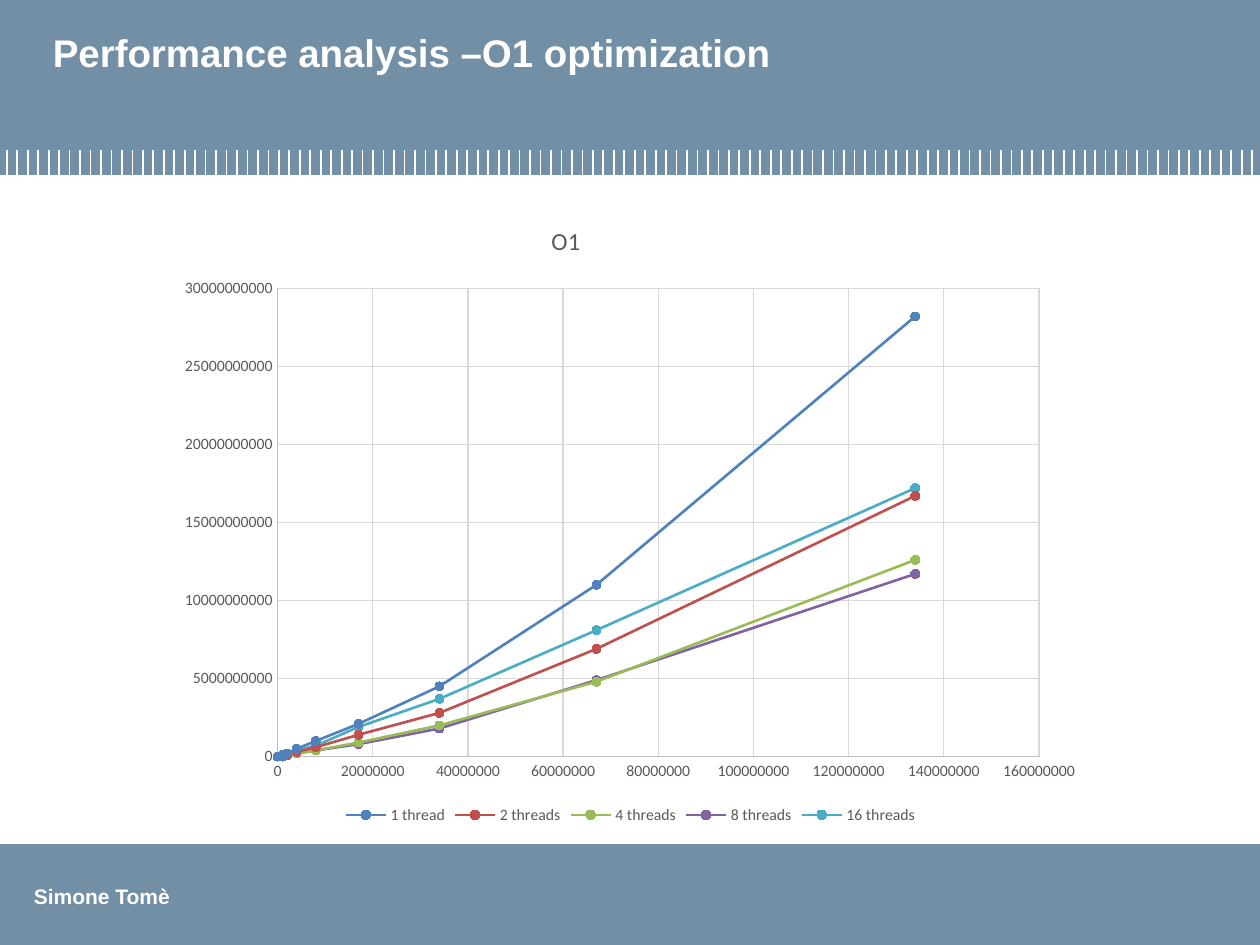
import pptx
import pptx.chart.data
import pptx.dml.color
import pptx.enum.chart
import pptx.enum.shapes
import pptx.enum.text
import pptx.oxml
import pptx.oxml.ns
import pptx.util
from pptx.util import Pt

RGB = pptx.dml.color.RGBColor
SLATE = RGB(0x72, 0x8F, 0xA5)
WHITE = RGB(0xFF, 0xFF, 0xFF)
BLACK = RGB(0, 0, 0)
GREY_TEXT = RGB(0x59, 0x59, 0x59)
AXIS_GREY = RGB(0xBF, 0xBF, 0xBF)
GRID_GREY = RGB(0xD9, 0xD9, 0xD9)
BLUE = RGB(0x4F, 0x81, 0xBD)
RED = RGB(0xC0, 0x50, 0x4D)
GREEN = RGB(0x9B, 0xBB, 0x59)
PURPLE = RGB(0x80, 0x64, 0xA2)
TEAL = RGB(0x4B, 0xAC, 0xC6)


def style_font(font, name, size, color, bold=False):
    font.name = name
    font.size = Pt(size)
    font.color.rgb = color
    font.bold = bold


def manual_layout(**settings):
    layout = pptx.oxml.parse_xml(
        f"<c:layout {pptx.oxml.ns.nsdecls('c')}><c:manualLayout/></c:layout>")
    for tag, value in settings.items():
        pptx.oxml.ns.qn("c:" + tag)
        item = pptx.oxml.parse_xml(
            f"<c:{tag} {pptx.oxml.ns.nsdecls('c')} val='{value}'/>")
        layout[0].append(item)
    return layout


deck = pptx.Presentation()
deck.slide_width = Pt(720)
deck.slide_height = Pt(540)
slide = deck.slides.add_slide(deck.slide_layouts[5])

for top, height in ((0, 100), (482.4, 57.6)):
    band = slide.shapes.add_shape(
        pptx.enum.shapes.MSO_SHAPE.RECTANGLE, 0, Pt(top), Pt(720), Pt(height))
    band.shadow.inherit = False
    band.fill.solid()
    band.fill.fore_color.rgb = SLATE
    band.line.fill.background()

author = slide.shapes.add_textbox(Pt(12.24), Pt(501.1), Pt(93), Pt(21.6))
author.text_frame.word_wrap = False
author.text_frame.text = "Simone Tomè"
style_font(author.text_frame.paragraphs[0].font, "Arial", 12, WHITE, True)

ruler = slide.shapes.add_group_shape()
for index in range(120):
    x = Pt(3.9 + 5.98 * index)
    tick = ruler.shapes.add_connector(
        pptx.enum.shapes.MSO_CONNECTOR.STRAIGHT, x, Pt(85.7), x, Pt(100))
    tick.line.color.rgb = WHITE
    tick.line.width = Pt(1)
    tick.element.spPr.append(pptx.oxml.parse_xml(
        f"<a:effectLst {pptx.oxml.ns.nsdecls('a')}/>"))

title = slide.shapes.title
title.element.getparent().append(title.element)
title.left, title.top, title.width, title.height = Pt(23), Pt(10.8), Pt(675.4), Pt(66.2)
title.text_frame.text = "Performance analysis –O1 optimization"
title.text_frame.vertical_anchor = pptx.enum.text.MSO_ANCHOR.TOP
title.text_frame.margin_top = Pt(5.5)
heading = title.text_frame.paragraphs[0]
heading.alignment = pptx.enum.text.PP_ALIGN.LEFT
style_font(heading.font, "Arial", 22, WHITE, True)

MILLION = 10 ** 6
sizes = (0, 1, 1, 2, 4, 8, 17, 34, 67, 134)
timings = (
    ("1 thread", BLUE, (0, 0, 100, 200, 500, 1000, 2100, 4500, 11000, 28200)),
    ("2 threads", RED, (0, 0, 100, 100, 300, 600, 1400, 2800, 6900, 16700)),
    ("4 threads", GREEN, (0, 0, 0, 100, 200, 400, 900, 2000, 4800, 12600)),
    ("8 threads", PURPLE, (0, 0, 0, 100, 200, 400, 800, 1800, 4900, 11700)),
    ("16 threads", TEAL, (0, 100, 100, 200, 400, 700, 1900, 3700, 8100, 17200)),
)
timing_data = pptx.chart.data.XyChartData()
for name, _, cycles in timings:
    series = timing_data.add_series(name)
    for size, cycle in zip(sizes, cycles):
        series.add_data_point(size * MILLION, cycle * MILLION)

chart = slide.shapes.add_chart(
    pptx.enum.chart.XL_CHART_TYPE.XY_SCATTER_LINES,
    Pt(95), Pt(114.5), Pt(530.6), Pt(359.3), timing_data).chart
style_font(chart.font, "Calibri", 10, BLACK)
plot = chart.plots[0]
plot.vary_by_categories = False

for series, (_, color, _) in zip(plot.series, timings):
    series.smooth = False
    series.format.line.color.rgb = color
    series.format.line.width = Pt(1.5)
    series.marker.style = pptx.enum.chart.XL_MARKER_STYLE.CIRCLE
    series.marker.size = 5
    series.marker.format.fill.solid()
    series.marker.format.fill.fore_color.rgb = color
    series.marker.format.line.color.rgb = color

for axis, maximum, step in ((chart.category_axis, 160, 20),
                            (chart.value_axis, 30000, 5000)):
    axis.minimum_scale = 0
    axis.maximum_scale = maximum * MILLION
    axis.major_unit = step * MILLION
    axis.major_tick_mark = pptx.enum.chart.XL_TICK_MARK.NONE
    axis.minor_tick_mark = pptx.enum.chart.XL_TICK_MARK.NONE
    axis.has_major_gridlines = True
    axis.tick_labels.number_format = "General"
    axis.tick_labels.number_format_is_linked = False
    style_font(axis.tick_labels.font, "Calibri", 9, GREY_TEXT)
    for line, color in ((axis.format.line, AXIS_GREY),
                        (axis.major_gridlines.format.line, GRID_GREY)):
        line.color.rgb = color
        line.width = Pt(0.75)

chart.has_legend = True
chart.legend.position = pptx.enum.chart.XL_LEGEND_POSITION.BOTTOM
chart.legend.include_in_layout = False
style_font(chart.legend.font, "Calibri", 9, GREY_TEXT)

chart.has_title = True
chart.chart_title.text_frame.text = "O1"
style_font(chart.chart_title.text_frame.paragraphs[0].font, "Calibri", 14, GREY_TEXT)

chart_layouts = (
    ("c:title", "c:tx", manual_layout(xMode="edge", yMode="edge", x=0.41, y=0.03)),
    ("c:plotArea", None, manual_layout(
        layoutTarget="inner", xMode="edge", yMode="edge",
        x=0.12, y=0.14, w=0.82, h=0.745)),
)
for part, predecessor, layout in chart_layouts:
    owner = chart.element.chart.find(pptx.oxml.ns.qn(part))
    for default in owner.findall(pptx.oxml.ns.qn("c:layout")):
        owner.remove(default)
    if predecessor:
        owner.find(pptx.oxml.ns.qn(predecessor)).addnext(layout)
    else:
        owner.insert(0, layout)

deck.save("out.pptx")
